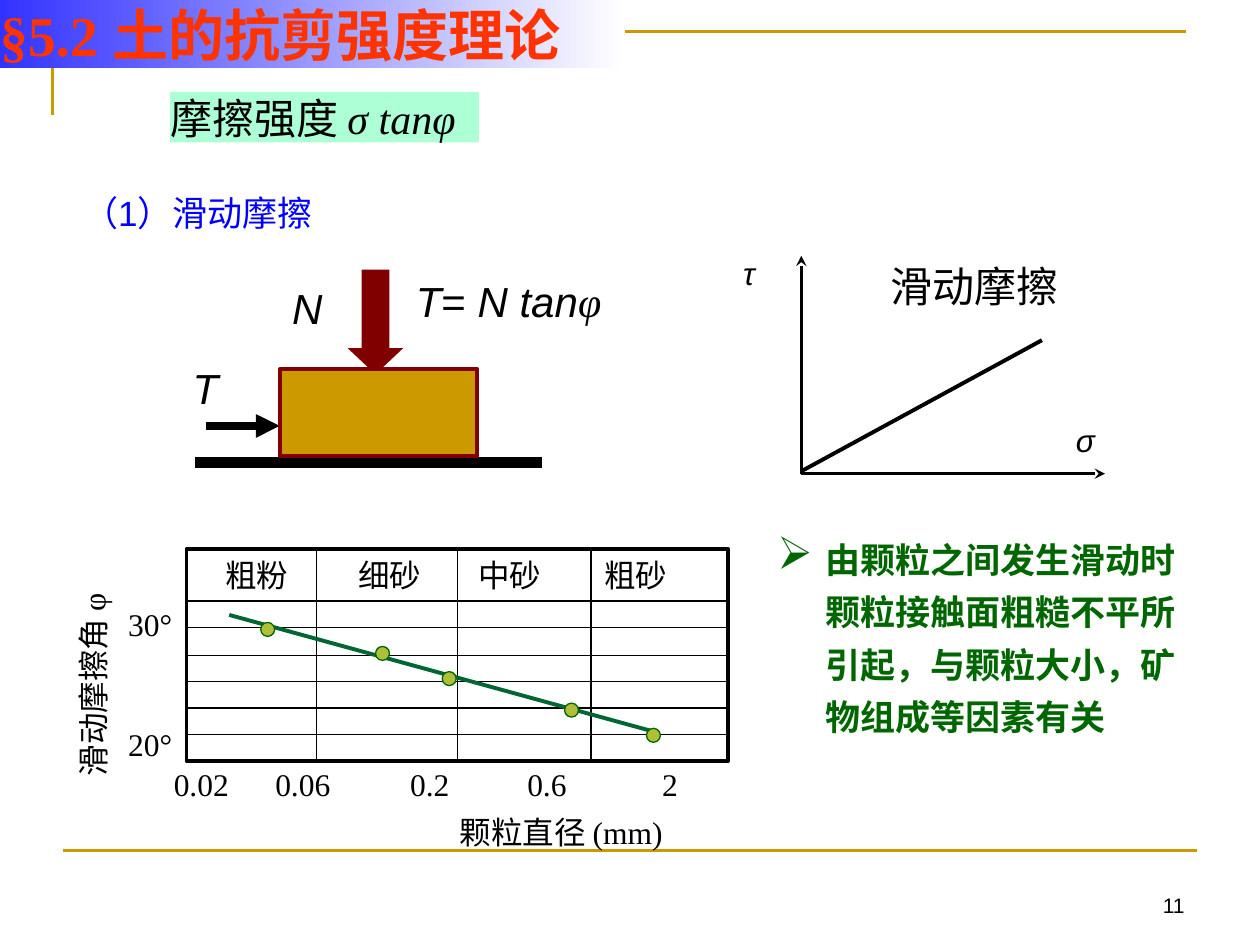
from dataclasses import dataclass
from typing import Any

from lxml.etree import SubElement
from pptx import Presentation
from pptx.dml.color import RGBColor
from pptx.enum.shapes import MSO_CONNECTOR, MSO_SHAPE
from pptx.enum.text import MSO_ANCHOR, PP_ALIGN
from pptx.oxml.ns import qn
from pptx.util import Pt


def color(value):
    """Turn a hex string into a colour."""
    return RGBColor.from_string(value)


@dataclass
class Sketch:
    """Hold the style and the current slide."""
    page: Any
    serif: str = "Times New Roman"
    sans: str = "Arial"
    ink: str = "000000"
    accent: str = "CC9900"
    maroon: str = "800000"
    green: str = "006600"

    def outline(self, shape, line, weight):
        """Set or remove the outline of a shape."""
        if line:
            shape.line.color.rgb = color(line)
            shape.line.width = Pt(weight)
        else:
            shape.line.fill.background()

    def shape(self, kind, left, top, width, height, fill=None, line=None, weight=0.75):
        """Add a preset shape."""
        shape = self.page.shapes.add_shape(kind, Pt(left), Pt(top), Pt(width), Pt(height))
        shape.shadow.inherit = False
        if fill:
            shape.fill.solid()
            shape.fill.fore_color.rgb = color(fill)
        else:
            shape.fill.background()
        self.outline(shape, line, weight)
        return shape

    def line(self, start, end, weight=0.75, line=None, head=None):
        """Add a straight connector, with an arrowhead if one is named."""
        connector = self.page.shapes.add_connector(
            MSO_CONNECTOR.STRAIGHT, *(Pt(value) for value in (*start, *end)))
        self.outline(connector, line or self.ink, weight)
        properties = connector.element.spPr
        if head:
            SubElement(properties.find(qn("a:ln")), qn("a:tailEnd"), type=head)
        SubElement(properties, qn("a:effectLst"))
        return connector

    def corner(self, points, line, weight):
        """Add an open outline through the points."""
        (left, top), *others = [(Pt(x), Pt(y)) for x, y in points]
        builder = self.page.shapes.build_freeform(left, top)
        builder.add_line_segments(others, close=False)
        shape = builder.convert_to_shape()
        shape.shadow.inherit = False
        shape.fill.background()
        self.outline(shape, line, weight)

    def fill_text(self, box, text, size, font=None, ink=None, bold=False, italic=False,
                  inset=(7.2, 3.6), spacing=None, anchor=MSO_ANCHOR.TOP, align=PP_ALIGN.LEFT):
        """Put text in a shape and return its first paragraph."""
        frame = box.text_frame
        frame.word_wrap = True
        frame.vertical_anchor = anchor
        frame.margin_left = frame.margin_right = Pt(inset[0])
        frame.margin_top = frame.margin_bottom = Pt(inset[1])
        frame.text = text
        for para in frame.paragraphs:
            para.alignment = align
            if spacing:
                para.line_spacing = spacing
            for span in para.runs:
                span.font.name = font or self.serif
                span.font.size = Pt(size)
                span.font.bold = bold
                span.font.italic = italic
                span.font.color.rgb = color(ink or self.ink)
        return frame.paragraphs[0]

    def text(self, left, top, width, height, text, size, **style):
        """Add a text box and return it with its first paragraph."""
        box = self.page.shapes.add_textbox(Pt(left), Pt(top), Pt(width), Pt(height))
        return box, self.fill_text(box, text, size, **style)

    def span(self, para, text, italic, font=None):
        """Add a run styled like the first run of the paragraph."""
        first = para.runs[0].font
        span = para.add_run()
        span.text = text
        span.font.name = font or first.name
        span.font.size = first.size
        span.font.color.rgb = first.color.rgb
        span.font.italic = italic

    def columns(self, left, top, width, labels, stops):
        """Add one line of labels set apart by tab stops."""
        para = self.text(left, top, width, 29, "\t".join(labels), 18)[1]
        tabs = SubElement(para._p.get_or_add_pPr(), qn("a:tabLst"))
        for stop in stops:
            SubElement(tabs, qn("a:tab"), pos=str(Pt(stop)), algn="l")

    def bullet(self, para, mark, indent, percent):
        """Give a paragraph a hanging bullet."""
        properties = para._p.get_or_add_pPr()
        properties.set("marL", str(Pt(indent)))
        properties.set("indent", str(-Pt(indent)))
        SubElement(properties, qn("a:buSzPct"), val=str(percent * 1000))
        SubElement(properties, qn("a:buChar"), char=mark)


def draw_block(sketch):
    """Draw the sliding block with its forces."""
    sans = dict(size=24, font=sketch.sans, italic=True)
    sketch.line((111.6, 264.2), (309.6, 264.2), 6)
    force = sketch.shape(MSO_SHAPE.DOWN_ARROW, 198.7, 154.1, 31.7, 59.8, sketch.maroon)
    force.adjustments[1] = 0.47
    sketch.text(159.8, 157.7, 37.4, 36, "N", **sans)
    para = sketch.text(237.6, 154.1, 144, 36, "T", inset=(0, 3.6), **sans)[1]
    sketch.span(para, "= ", False)
    sketch.span(para, "N tan", True)
    sketch.span(para, "φ", True, sketch.serif)
    sketch.line((118, 243.4), (159.8, 243.4), 4.5, head="triangle")
    sketch.shape(MSO_SHAPE.RECTANGLE, 159.8, 211, 113, 49.7, sketch.accent, sketch.maroon, 2.25)
    sketch.text(103, 203.8, 49.7, 36, "T", **sans)


def draw_axes(sketch):
    """Draw shear stress against normal stress."""
    origin = (457.9, 270.7)
    sketch.text(501.8, 145.4, 116.6, 36, "滑动摩擦", 24)
    sketch.line((457.9, 269.3), (595.4, 194.4), 2.25)
    for end in ((631.4, 270.7), (457.9, 146.2)):
        sketch.line(origin, end, 1.5, head="stealth")
    for name, left, top in (("σ", 607.7, 236.9), ("τ", 417.6, 141.8)):
        sketch.text(left, top, 30.2, 28.8, name, 18, font=sketch.sans, italic=True)


def draw_plot(sketch):
    """Draw the friction angle against the grain diameter."""
    left, top, width, height = 106.6, 313.9, 309.6, 121
    right, bottom = left + width, top + height
    frame = sketch.shape(MSO_SHAPE.RECTANGLE, left, top, width, height, None, sketch.ink, 2.25)
    rows = [sketch.line((left, y), (right, y)) for y in (343.4 + 15.3 * i for i in range(6))]
    bars = [sketch.line((x, top), (x, bottom)) for x in (180.7, left + width / 2, 337.7)]
    for middle, first, last in ((rows[2], 1, 3), (bars[1], 0, 2)):
        middle.begin_connect(frame, first)
        middle.end_connect(frame, last)
    sketch.line((131, 351.4), (374.4, 418.3), 2.25, "006633")
    sketch.columns(92.2, 433.4, 334.8, ("0.02", "0.06", "0.2", "0.6", "2"), (58, 135, 202, 279))
    angles = sketch.text(66.2, 341.3, 42.5, 108, "30°\n20°", 18, spacing=1.05)[0]
    angles.text_frame.paragraphs[1].space_before = Pt(46)
    sketch.text(255.6, 460.8, 151.2, 31, "颗粒直径 (mm)", 18)
    title = sketch.text(-6.5, 369.4, 119.5, 28.8, "滑动摩擦角 φ", 18, inset=(0, 3.6))[0]
    title.rotation = 270
    for x, y in ((149, 355.7), (214.6, 369.4), (252.7, 383.8), (322.6, 401.8), (369.4, 416.2)):
        sketch.shape(MSO_SHAPE.OVAL, x, y, 8, 8, "AFBF39", sketch.green)
    sketch.columns(121.7, 313.9, 280, ("粗粉", "细砂", "中砂", "粗砂"), (76, 144.6, 216.6))


def main():
    """Build the slide and save it."""
    deck = Presentation()
    deck.slide_width, deck.slide_height = Pt(720), Pt(540)
    sketch = Sketch(deck.slides.add_slide(deck.slide_layouts[6]))
    sketch.corner(((30, 66), (30, 18), (678, 18)), sketch.accent, 1.5)
    sketch.line((36, 486), (684, 486), 1.5, sketch.accent)
    sketch.text(516, 492, 168, 36, "11", 12, font=sketch.sans,
                anchor=MSO_ANCHOR.BOTTOM, align=PP_ALIGN.RIGHT)
    draw_block(sketch)
    draw_axes(sketch)
    sketch.text(47.5, 100.8, 161.3, 32.4, "（1）滑动摩擦", 20, font=sketch.sans,
                ink="0000FF", inset=(0, 0), spacing=1.35)
    strength = sketch.shape(MSO_SHAPE.RECTANGLE, 97.2, 52.6, 176.4, 28.8, "ADFFD6")
    para = sketch.fill_text(strength, "摩擦强度 ", 24, inset=(0, 0))
    sketch.span(para, "σ tanφ", True)
    reason = "由颗粒之间发生滑动时颗粒接触面粗糙不平所引起，与颗粒大小，矿物组成等因素有关"
    para = sketch.text(437, 298, 257, 125.3, reason, 20, ink=sketch.green,
                       bold=True, spacing=1.25)[1]
    sketch.bullet(para, "➢", 27.4, 130)
    draw_plot(sketch)
    banner = sketch.shape(MSO_SHAPE.RECTANGLE, 0, 0, 357, 38.9)
    banner.fill.gradient()
    banner.fill.gradient_angle = 0
    for stop, shade in zip(banner.fill.gradient_stops, ("3333FF", "FFFFFF")):
        stop.color.rgb = color(shade)
    sketch.fill_text(banner, "§5.2 土的抗剪强度理论", 32, ink="FF3300", bold=True,
                     inset=(0, 0), anchor=MSO_ANCHOR.BOTTOM)
    deck.save("out.pptx")


if __name__ == "__main__":
    main()
